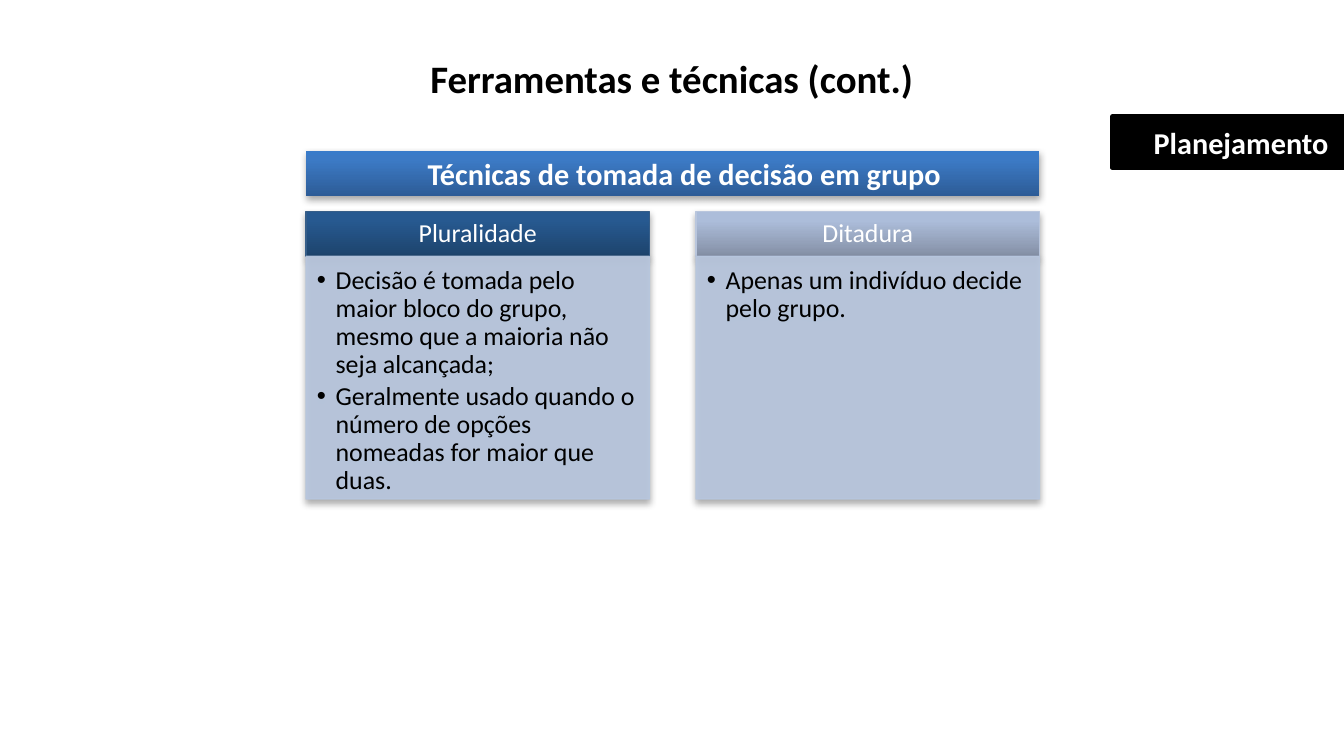
from lxml.etree import SubElement
from pptx import Presentation
from pptx.dml.color import RGBColor
from pptx.enum.shapes import MSO_SHAPE
from pptx.enum.text import MSO_ANCHOR, MSO_AUTO_SIZE, PP_ALIGN
from pptx.oxml.ns import qn
from pptx.util import Emu, Pt

PX = 9144
FONT = "Calibri"
PANEL = "B7C6DE"
HEAD_H = 29
COLUMN_W = 221
COLUMNS = [
    ("Pluralidade", ("1D446D", "275990", "255A93"), "365E89", [
        "Decisão é tomada pelo maior bloco do grupo, mesmo que a maioria não seja alcançada;",
        "Geralmente usado quando o número de opções nomeadas for maior que duas.",
    ]),
    ("Ditadura", ("848FA5", "ACBDDA", "ACBEDC"), "B9C6DD", [
        "Apenas um indivíduo decide pelo grupo.",
    ]),
]


def px(n):
    return Emu(n * PX)


def rgb(value):
    return RGBColor.from_string(value)


def place(sp, x, y, w, h):
    sp.left, sp.top, sp.width, sp.height = px(x), px(y), px(w), px(h)


def add_rect(s, x, y, w, h):
    sp = s.shapes.add_shape(MSO_SHAPE.RECTANGLE, px(x), px(y), px(w), px(h))
    sp.shadow.inherit = False
    return sp


def set_line(sp, color, width):
    sp.line.color.rgb = rgb(color)
    sp.line.width = Pt(width)


def add_color(parent, color, alpha=None):
    clr = SubElement(parent, qn("a:srgbClr"), val=color)
    if alpha is not None:
        SubElement(clr, qn("a:alpha"), val=str(alpha * 1000))


def set_gradient(sp, colors):
    sp.fill.gradient()
    sp.fill.gradient_angle = 90
    stops = sp._element.spPr.find(".//" + qn("a:gsLst"))
    for stop in list(stops):
        stops.remove(stop)
    for pos, color in zip((0, 80, 100), colors):
        add_color(SubElement(stops, qn("a:gs"), pos=str(pos * 1000)), color)


def set_shadow(sp):
    sp.shadow.inherit = False
    effects = sp._element.spPr.find(qn("a:effectLst"))
    shadow = SubElement(effects, qn("a:outerShdw"), blurRad=str(Pt(3.1)),
                        dist=str(Pt(1.8)), dir="5400000", rotWithShape="0")
    add_color(shadow, "000000", 35)


def set_frame(sp, anchor, left, top, right, bottom):
    tf = sp.text_frame
    tf.word_wrap = True
    tf.auto_size = MSO_AUTO_SIZE.NONE
    tf.vertical_anchor = anchor
    tf.margin_left, tf.margin_top = px(left), px(top)
    tf.margin_right, tf.margin_bottom = px(right), px(bottom)
    return tf


def add_text(p, text, size, color, bold=False):
    r = p.add_run()
    r.text = text
    r.font.name = FONT
    r.font.size = Pt(size)
    r.font.bold = bold
    r.font.color.rgb = rgb(color)


def add_bullet(p):
    pPr = p._p.get_or_add_pPr()
    pPr.set("marL", str(px(12)))
    pPr.set("indent", str(-px(12)))
    add_color(SubElement(pPr, qn("a:buClr")), "000000")
    SubElement(pPr, qn("a:buFont"), typeface="Arial")
    SubElement(pPr, qn("a:buChar"), char="•")


def fill_title(s, x, y, w, h):
    sp = s.shapes.title
    place(sp, x, y, w, h)
    p = set_frame(sp, MSO_ANCHOR.TOP, 10, 5, 10, 5).paragraphs[0]
    p.alignment = PP_ALIGN.CENTER
    add_text(p, "Ferramentas e técnicas (cont.)", 18, "000000", True)


def add_phase_tag(s, x, y, w, h):
    sp = add_rect(s, x, y, w, h)
    sp.fill.solid()
    sp.fill.fore_color.rgb = rgb("000000")
    set_line(sp, "000000", 2)
    p = set_frame(sp, MSO_ANCHOR.MIDDLE, 10, 5, 10, 5).paragraphs[0]
    p.alignment = PP_ALIGN.RIGHT
    add_text(p, "Planejamento", 14, "FFFFFF", True)


def add_banner(s, x, y, w, h):
    sp = add_rect(s, x, y, w, h)
    set_gradient(sp, ("2D5C97", "3C7AC5", "397BC9"))
    sp.line.fill.background()
    set_shadow(sp)
    p = set_frame(sp, MSO_ANCHOR.MIDDLE, 7, 4, 7, 4).paragraphs[0]
    p.alignment = PP_ALIGN.CENTER
    p._p.get_or_add_pPr().set("marL", str(px(15)))
    add_text(p, "Técnicas de tomada de decisão em grupo", 14, "FFFFFF", True)


def add_column_head(s, x, y, w, h, heading, colors, border):
    sp = add_rect(s, x, y, w, h)
    set_gradient(sp, colors)
    set_line(sp, border, 0.75)
    set_shadow(sp)
    p = set_frame(sp, MSO_ANCHOR.MIDDLE, 9, 5, 9, 5).paragraphs[0]
    p.alignment = PP_ALIGN.CENTER
    p.line_spacing = 0.9
    add_text(p, heading, 12, "FFFFFF")


def fill_column_list(s, body, x, y, w, h, items):
    place(body, x, y, w, h)
    body.fill.solid()
    body.fill.fore_color.rgb = rgb(PANEL)
    set_line(body, PANEL, 0.75)
    for clr in body._element.spPr.iter(qn("a:srgbClr")):
        SubElement(clr, qn("a:alpha"), val="90000")
    set_shadow(body)
    tf = set_frame(body, MSO_ANCHOR.TOP, 7, 7, 9, 10)
    for i, item in enumerate(items):
        p = tf.add_paragraph() if i else tf.paragraphs[0]
        p.level = 1
        add_bullet(p)
        p.line_spacing = 0.9
        p.space_before = Pt(1.8 if i else 0)
        add_text(p, item, 12, "000000")
    s.shapes._spTree.append(body._element)


def add_columns(s, x, y, w, h):
    step = w - COLUMN_W
    for i, (heading, colors, border, items) in enumerate(COLUMNS):
        left = x + i * step
        add_column_head(s, left, y, COLUMN_W, HEAD_H, heading, colors, border)
        fill_column_list(s, s.placeholders[i + 1], left, y + HEAD_H,
                         COLUMN_W, h - HEAD_H, items)


def main():
    prs = Presentation()
    prs.slide_width, prs.slide_height = px(865), px(469)
    s = prs.slides.add_slide(prs.slide_layouts[3])
    fill_title(s, 0, 30, 865, 40)
    add_phase_tag(s, 716, 75, 149, 33)
    add_columns(s, 197, 136, 472, 185)
    add_banner(s, 197, 97, 472, HEAD_H)
    prs.save("out.pptx")


if __name__ == "__main__":
    main()
